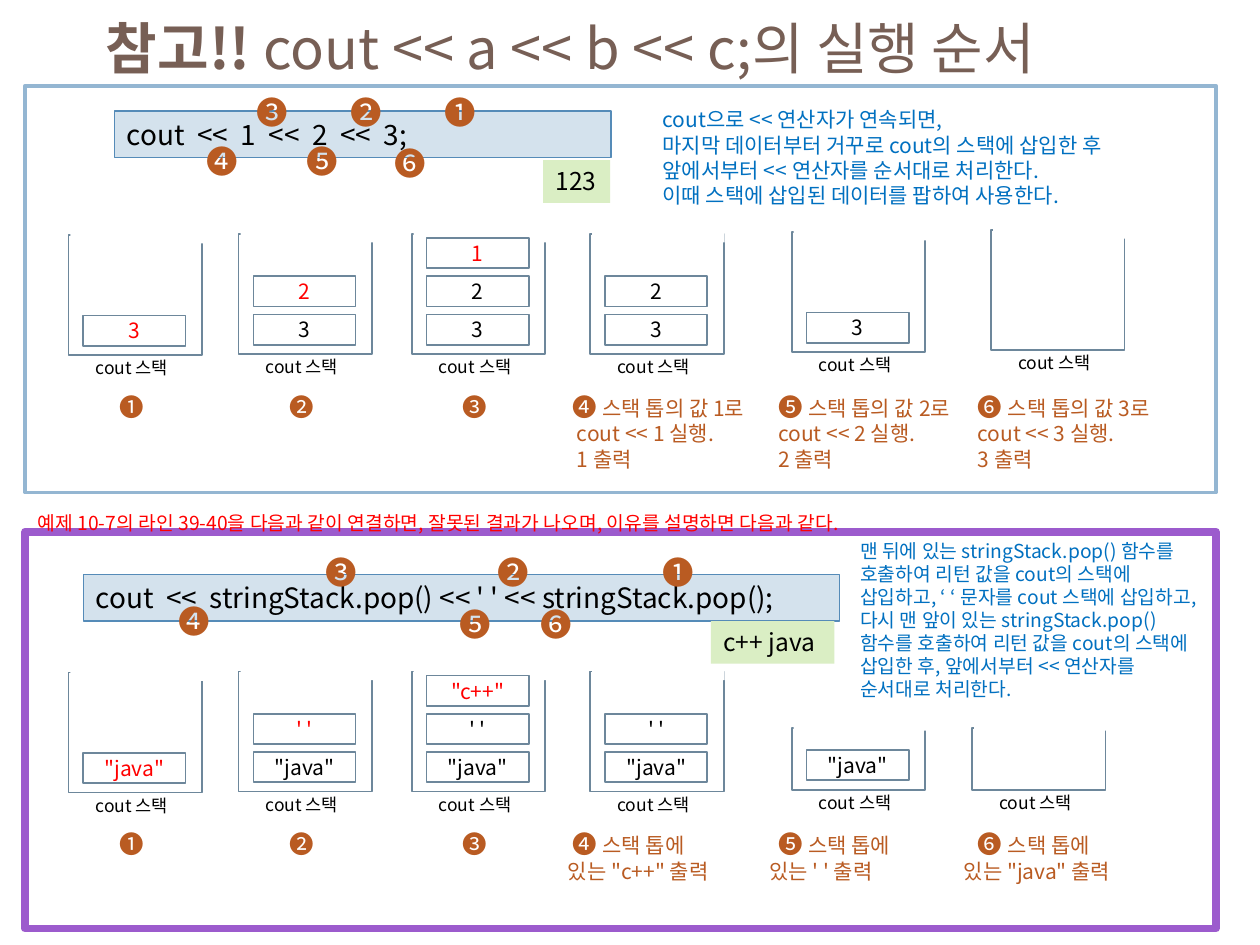
from lxml.etree import SubElement
from pptx import Presentation
from pptx.dml.color import RGBColor
from pptx.enum.shapes import MSO_SHAPE
from pptx.enum.text import MSO_ANCHOR, MSO_AUTO_SIZE, PP_ALIGN
from pptx.oxml.ns import qn
from pptx.util import Cm, Pt

FONT = "Noto Sans CJK KR"
COLORS = {
    "title": "775F55", "text": "000000", "new": "FF0000", "note": "0070C0",
    "step": "B95B22", "white": "FFFFFF", "stack": "6D879B",
    "code": "D4E2ED", "code_line": "558BB8", "output": "DAEEC4",
    "blue": "94B6D2", "purple": "9C5BCD",
}
DIGITS = "❶❷❸❹❺❻"

# Content: boxes are (left, top, width, height) in cm
TITLE = ("참고!! ", "cout << a << b << c;의 실행 순서")
WARNING = ("예제 10-7의 라인 39-40을 다음과 같이 연결하면, 잘못된 결과가 나오며, "
           "이유를 설명하면 다음과 같다.")
PANELS = [
    {
        "frame": (0.51, 1.73, 24, 8.2), "frame_line": ("blue", 2.25),
        "code": "cout  <<  1  <<  2  <<  3;", "code_box": (2.31, 2.24, 10.01, 0.94),
        "output": "123", "output_box": (10.95, 3.23, 1.35, 0.86),
        "markers": [(8.71, 1.75), (6.81, 1.75), (4.93, 1.75),
                    (3.91, 2.74), (5.92, 2.74), (7.7, 2.77)],
        "note": ["cout으로 << 연산자가 연속되면,",
                 "마지막 데이터부터 거꾸로 cout의 스택에 삽입한 후",
                 "앞에서부터 << 연산자를 순서대로 처리한다.",
                 "이때 스택에 삽입된 데이터를 팝하여 사용한다."],
        "note_box": (13.11, 2.03, 10.39, 2.31), "note_size": 12, "note_wrap": False,
        # left, bottom, height, items from the bottom up
        "stacks": [(1.38, 7.16, 2.42, ["3"]),
                   (4.81, 7.14, 2.42, ["3", "2"]),
                   (8.3, 7.14, 2.42, ["3", "2", "1"]),
                   (11.9, 7.14, 2.42, ["3", "2"]),
                   (15.96, 7.1, 2.42, ["3"]),
                   (19.98, 7.06, 2.42, [])],
        "step_top": 7.77, "caption_height": 1.88,
        # width, indent of the later lines, lines
        "captions": [(4.7, 0.28, ["스택 톱의 값 1로", "cout << 1 실행.", "1 출력"]),
                     (4.83, 0.28, ["스택 톱의 값 2로", "cout << 2 실행.", "2 출력"]),
                     (4.83, 0.28, ["스택 톱의 값 3로", "cout << 3 실행.", "3 출력"])],
    },
    {
        "frame": (0.51, 10.72, 24, 8), "frame_line": ("purple", 4.5),
        "code": "cout  <<  stringStack.pop() << ' ' << stringStack.pop();",
        "code_box": (1.68, 11.58, 15.24, 0.94),
        "output": "c++ java", "output_box": (14.33, 12.52, 2.49, 0.86),
        "markers": [(13.11, 11.02), (9.78, 11.02), (6.32, 11.02),
                    (3.35, 12.01), (9.02, 12.07), (10.64, 12.07)],
        "note": ["맨 뒤에 있는 stringStack.pop() 함수를 호출하여 리턴 값을 cout의 스택에 "
                 "삽입하고, ‘ ‘ 문자를 cout 스택에 삽입하고, 다시 맨 앞이 있는 "
                 "stringStack.pop() 함수를 호출하여 리턴 값을 cout의 스택에 삽입한 후, "
                 "앞에서부터 << 연산자를 순서대로 처리한다."],
        "note_box": (17.09, 10.74, 7.39, 3.56), "note_size": 11, "note_wrap": True,
        "stacks": [(1.38, 15.98, 2.42, ['"java"']),
                   (4.81, 15.96, 2.42, ['"java"', "' '"]),
                   (8.3, 15.96, 2.42, ['"java"', "' '", '"c++"']),
                   (11.9, 15.96, 2.42, ['"java"', "' '"]),
                   (15.96, 15.92, 1.24, ['"java"']),
                   (19.6, 15.92, 1.24, [])],
        "step_top": 16.59, "caption_height": 1.37,
        "captions": [(3.96, 0.1, ["스택 톱에", '있는 "c++" 출력']),
                     (3.43, 0.1, ["스택 톱에", "있는 ' ' 출력"]),
                     (3.61, 0, ["스택 톱에", '있는 "java" 출력'])],
    },
]
CAPTION_STARTS = [(11.1, 0.19), (15.16, 0.28), (19.18, 0.28)]  # left, digit indent
PUSH_STEPS = 3

presentation = Presentation()
presentation.slide_width, presentation.slide_height = Cm(25.4), Cm(19.05)
slide = presentation.slides.add_slide(presentation.slide_layouts[5])


def format_paragraph(paragraph, size, color, align=PP_ALIGN.LEFT):
    paragraph.alignment = align
    font = paragraph.font
    font.size = Pt(size)
    font.color.rgb = RGBColor.from_string(COLORS[color])
    font.name = FONT
    SubElement(font._rPr, qn("a:ea"), typeface=FONT)


def write(shape, lines, size, color, wrap=False):
    frame = shape.text_frame
    frame.text = "\n".join(lines)
    frame.word_wrap = wrap
    frame.auto_size = MSO_AUTO_SIZE.SHAPE_TO_FIT_TEXT
    frame.vertical_anchor = MSO_ANCHOR.TOP
    for paragraph in frame.paragraphs:
        format_paragraph(paragraph, size, color)


def add_text(box, lines, size, color, wrap=False):
    shape = slide.shapes.add_textbox(*map(Cm, box))
    write(shape, lines, size, color, wrap)
    return shape


def add_rectangle(box, fill=None, line=None, line_width=1):
    shape = slide.shapes.add_shape(MSO_SHAPE.RECTANGLE, *map(Cm, box))
    shape.shadow.inherit = False
    if fill:
        shape.fill.solid()
        shape.fill.fore_color.rgb = RGBColor.from_string(COLORS[fill])
    else:
        shape.fill.background()
    if line:
        shape.line.color.rgb = RGBColor.from_string(COLORS[line])
        shape.line.width = Pt(line_width)
    else:
        shape.line.fill.background()
    return shape


def add_stack(left, bottom, height, items, pushed):
    top = bottom - height
    add_rectangle((left, top, 2.69, height), "white", "stack")
    # White strip that opens the top of the stack
    cover_rise = 0.13 if height > 2 else 0.25
    add_rectangle((left + 0.04, top - cover_rise, 2.67, 0.3), "white")
    for level, item in enumerate(items):
        slot = add_rectangle((left + 0.3, bottom - 0.8 - 0.77 * level, 2.06, 0.61),
                             "white", "stack")
        slot.text_frame.text = item
        slot.text_frame.vertical_anchor = MSO_ANCHOR.MIDDLE
        is_new = pushed and level == len(items) - 1
        format_paragraph(slot.text_frame.paragraphs[0], 12,
                         "new" if is_new else "text", PP_ALIGN.CENTER)
    add_text((left + 0.3, bottom - 0.08, 2.06, 0.68), ["cout 스택"], 10, "text")


def add_caption(box, digit, digit_indent, margin, lines):
    shape = add_text(box, lines, 12, "step", wrap=True)
    first = shape.text_frame.paragraphs[0]
    first.runs[0].text = digit + " "
    first.runs[0].font.size = Pt(14)
    first.add_run().text = lines[0]
    for paragraph in shape.text_frame.paragraphs:
        indent = digit_indent if paragraph._p is first._p else margin
        paragraph._p.get_or_add_pPr().set("marL", str(Cm(indent)))


# Title
title = slide.shapes.title
title.left, title.top, title.width, title.height = map(Cm, (1.88, 0, 22.66, 1.88))
title.text_frame.vertical_anchor = MSO_ANCHOR.MIDDLE
title.text_frame.auto_size = MSO_AUTO_SIZE.NONE
title_paragraph = title.text_frame.paragraphs[0]
for text, bold in zip(TITLE, (True, False)):
    run = title_paragraph.add_run()
    run.text = text
    run.font.bold = bold
format_paragraph(title_paragraph, 32, "title")

for panel in PANELS:
    # Frame, code line, output and explanation
    add_rectangle(panel["frame"], None, *panel["frame_line"])
    code = add_rectangle(panel["code_box"], "code", "code_line", 0.75)
    write(code, [panel["code"]], 16, "text", wrap=True)
    output = add_rectangle(panel["output_box"], "output")
    write(output, [panel["output"]], 14, "text")
    add_text(panel["note_box"], panel["note"], panel["note_size"], "note", panel["note_wrap"])

    # Execution order on the code line
    for digit, (left, top) in zip(DIGITS, panel["markers"]):
        add_text((left, top, 1.09, 1.02), [digit], 18, "step")

    # Stack states, numbered below
    for step, (left, bottom, height, items) in enumerate(panel["stacks"]):
        pushed = step < PUSH_STEPS
        add_stack(left, bottom, height, items, pushed)
        if pushed:
            add_text((left + 0.77, panel["step_top"], 0.97, 0.86), [DIGITS[step]], 14, "step")

    # Captions of the pop steps
    for digit, (left, digit_indent), (width, margin, lines) in zip(
            DIGITS[PUSH_STEPS:], CAPTION_STARTS, panel["captions"]):
        box = (left, panel["step_top"], width, panel["caption_height"])
        add_caption(box, digit, digit_indent, margin, lines)

# Heading of the second panel
add_text((0.51, 10.19, 18.39, 0.73), [WARNING], 11, "new")

presentation.save("out.pptx")
